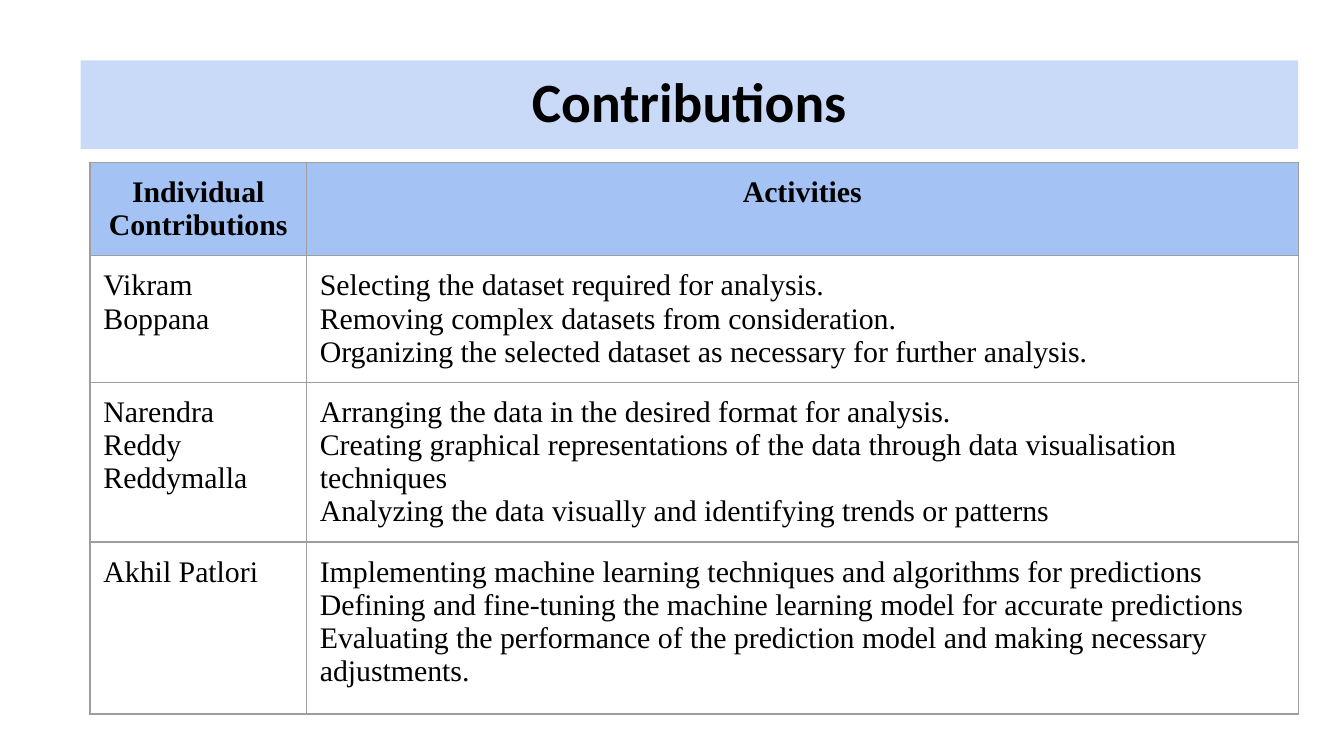
from dataclasses import dataclass

from lxml.etree import SubElement
from pptx import Presentation
from pptx.dml.color import RGBColor
from pptx.enum.shapes import MSO_SHAPE
from pptx.enum.text import MSO_ANCHOR, PP_ALIGN
from pptx.oxml.ns import qn
from pptx.util import Inches, Pt


@dataclass(frozen=True)
class Theme:
    banner: str = "C9DAF8"
    header: str = "A4C2F4"
    text: str = "000000"
    border: str = "9E9E9E"
    border_width: float = 0.75
    title_font: str = "Calibri"
    body_font: str = "Times New Roman"
    title_size: float = 29.7
    body_size: float = 16
    inset: float = 0.1


THEME = Theme()

# Each activity is a paragraph; a newline inside one is a line break
HEADINGS = ("Individual Contributions", ["Activities"])
CONTRIBUTIONS = [
    ("Vikram Boppana", [
        "Selecting the dataset required for analysis.",
        "Removing complex datasets from consideration.",
        "Organizing the selected dataset as necessary for further analysis.",
    ]),
    ("Narendra Reddy Reddymalla", [
        "Arranging the data in the desired format for analysis.\n"
        "Creating graphical representations of the data through data visualisation techniques\n"
        "Analyzing the data visually and identifying trends or patterns",
    ]),
    ("Akhil Patlori", [
        "Implementing machine learning techniques and algorithms for predictions",
        "Defining and fine-tuning the machine learning model for accurate predictions\n"
        "Evaluating the performance of the prediction model and making necessary adjustments.",
    ]),
]


def write_text(frame, paragraphs, *, size=THEME.body_size, font=THEME.body_font,
               bold=False, align=PP_ALIGN.LEFT, spacing=None):
    """Write the paragraphs, all in the same format."""
    frame.word_wrap = True
    for index, text in enumerate(paragraphs):
        paragraph = frame.add_paragraph() if index else frame.paragraphs[0]
        paragraph.alignment = align
        if spacing:
            paragraph.line_spacing = spacing
        for line_number, line in enumerate(text.split("\n")):
            if line_number:
                paragraph.add_line_break()
            run = paragraph.add_run()
            run.text = line
            run.font.size = Pt(size)
            run.font.name = font
            run.font.bold = bold
            run.font.color.rgb = RGBColor.from_string(THEME.text)


def set_insets(holder):
    holder.margin_left = holder.margin_right = Inches(THEME.inset)
    holder.margin_top = holder.margin_bottom = Inches(THEME.inset)


def draw_borders(cell):
    properties = cell._tc.get_or_add_tcPr()
    for position, side in enumerate(("a:lnL", "a:lnR", "a:lnT", "a:lnB")):
        line = SubElement(properties, qn(side), w=str(Pt(THEME.border_width)))
        fill = SubElement(line, qn("a:solidFill"))
        SubElement(fill, qn("a:srgbClr"), val=THEME.border)
        # Borders come before the cell fill in the schema
        properties.insert(position, line)


def add_banner(slide, left, top, width, height):
    banner = slide.shapes.add_shape(
        MSO_SHAPE.RECTANGLE, Inches(left), Inches(top), Inches(width), Inches(height))
    banner.shadow.inherit = False
    banner.fill.solid()
    banner.fill.fore_color.rgb = RGBColor.from_string(THEME.banner)
    banner.line.fill.background()
    set_insets(banner.text_frame)
    banner.text_frame.vertical_anchor = MSO_ANCHOR.MIDDLE
    write_text(banner.text_frame, ["Contributions"], size=THEME.title_size,
               font=THEME.title_font, bold=True, align=PP_ALIGN.CENTER, spacing=0.9)


def add_contributions(slide, left, top, width, row_heights, name_width):
    rows = [HEADINGS, *CONTRIBUTIONS]
    table = slide.shapes.add_table(
        len(rows), 2, Inches(left), Inches(top),
        Inches(width), Inches(sum(row_heights))).table
    table.horz_banding = False
    table.columns[0].width = Inches(name_width)
    table.columns[1].width = Inches(width - name_width)

    for index, (name, activities) in enumerate(rows):
        table.rows[index].height = Inches(row_heights[index])
        is_header = index == 0
        for column, paragraphs in enumerate(([name], activities)):
            cell = table.cell(index, column)
            set_insets(cell)
            cell.vertical_anchor = MSO_ANCHOR.TOP
            if is_header:
                cell.fill.solid()
                cell.fill.fore_color.rgb = RGBColor.from_string(THEME.header)
            else:
                cell.fill.background()
            draw_borders(cell)
            write_text(cell.text_frame, paragraphs, bold=is_header,
                       align=PP_ALIGN.CENTER if is_header else PP_ALIGN.LEFT)


def main():
    deck = Presentation()
    # Widescreen, 16:9
    deck.slide_width = Inches(10)
    deck.slide_height = deck.slide_width * 9 // 16
    slide = deck.slides.add_slide(deck.slide_layouts[6])

    # Title banner
    add_banner(slide, 0.6, 0.45, 9.06, 0.66)
    # Who did what
    add_contributions(slide, 0.67, 1.21, 8.99, (0.68, 0.93, 1.17, 1.28), name_width=1.61)

    deck.save("out.pptx")


if __name__ == "__main__":
    main()
